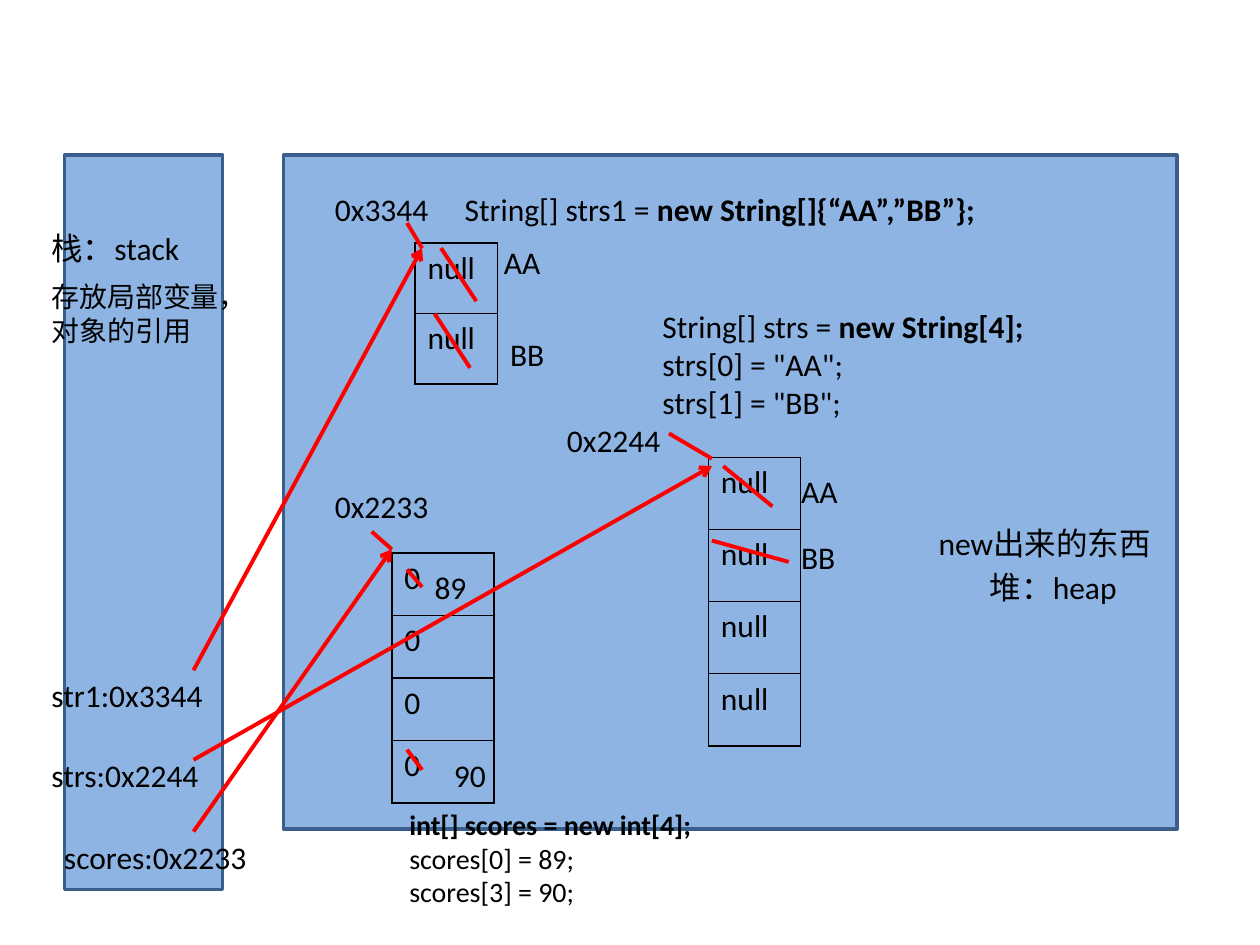
from typing import NamedTuple

from lxml.etree import SubElement
from pptx import Presentation
from pptx.dml.color import RGBColor
from pptx.enum.shapes import MSO_CONNECTOR as Connector, MSO_SHAPE as Preset
from pptx.enum.text import MSO_AUTO_SIZE as AutoSize
from pptx.oxml.ns import qn
from pptx.util import Pt

BLACK = RGBColor(0x00, 0x00, 0x00)
RED = RGBColor(0xFF, 0x00, 0x00)
MEMORY_FILL = RGBColor(0x8E, 0xB4, 0xE3)
MEMORY_EDGE = RGBColor(0x3A, 0x5F, 0x8C)
FONT = "Calibri"
TEXT_SIZE, SMALL_SIZE = 18, 16


class Region(NamedTuple):
    left: float
    top: float
    width: float
    height: float


class Code(NamedTuple):
    """One line of text: a plain part followed by a bold part."""
    plain: str
    bold: str = ""


class Label(NamedTuple):
    left: float
    top: float
    width: float
    lines: list[Code]
    size: int = TEXT_SIZE
    height: float = 29


class ArrayBox(NamedTuple):
    left: float
    top: float
    width: float
    row_height: float
    values: list[str]


class Stroke(NamedTuple):
    x1: float
    y1: float
    x2: float
    y2: float
    arrow: bool = False


STACK = Region(36.8, 88.6, 90.4, 419.6)
HEAP = Region(162, 88.6, 510.5, 385.2)

ARRAYS = [
    ArrayBox(223.9, 315.9, 58.5, 35.8, ["0"] * 4),
    ArrayBox(404.8, 261.4, 52.8, 41.2, ["null"] * 4),
    ArrayBox(237.1, 138.8, 47.3, 40.3, ["null"] * 2),
]

LABELS = [
    Label(22.3, 127.6, 119, [Code("栈：stack")]),
    Label(558.5, 321.1, 113.4, [Code("堆：heap")]),
    Label(22.3, 156.2, 133.2, [Code("存放局部变量，对象的引用")], SMALL_SIZE, 46),
    Label(529.3, 295.9, 153.1, [Code("new出来的东西")]),
    Label(226.8, 457.9, 180, [Code("", "int[] scores = new int[4];"),
                              Code("scores[0] = 89;"),
                              Code("scores[3] = 90;")], SMALL_SIZE, 67.8),
    Label(29.5, 475.2, 119, [Code("scores:0x2233")]),
    Label(22.3, 428.4, 105, [Code("strs:0x2244")]),
    Label(22.3, 383, 105, [Code("str1:0x3344")]),
    Label(184.3, 275, 96.5, [Code("0x2233")]),
    Label(316.9, 237, 96.5, [Code("0x2244")]),
    Label(184.3, 105, 74, [Code("0x3344")]),
    Label(241.2, 321.1, 39.6, [Code("89")]),
    Label(252.3, 428.4, 39.6, [Code("90")]),
    Label(450.7, 266.4, 56.9, [Code("AA")]),
    Label(450.7, 303.8, 39.6, [Code("BB")]),
    Label(280.8, 135.4, 56.9, [Code("AA")]),
    Label(284.4, 188, 39.6, [Code("BB")]),
    Label(371.5, 172.1, 237.6, [Code("String[] strs = ", "new String[4];"),
                                Code('strs[0] = "AA";'),
                                Code('strs[1] = "BB";')], TEXT_SIZE, 72.7),
    Label(258.5, 105, 350.6, [Code("String[] strs1 = ", "new String[]{“AA”,”BB”};")]),
]

REFERENCES = [
    Stroke(110.6, 475.2, 223.9, 313.9, arrow=True),
    Stroke(110.6, 434.2, 406.8, 266.4, arrow=True),
    Stroke(110.6, 383, 241.2, 141.8, arrow=True),
]
ADDRESS_MARKS = [
    Stroke(212.4, 303.8, 223.9, 313.9),
    Stroke(382.3, 247.7, 406.8, 262.1),
    Stroke(232.6, 127.4, 241.2, 141.8),
]
CROSSED_OUT = [
    Stroke(232.6, 325.4, 241.2, 335.5),
    Stroke(232.6, 428.4, 241.2, 439.9),
    Stroke(413.3, 266.4, 441.4, 289.4),
    Stroke(406.8, 308.9, 450.7, 321.1),
    Stroke(252, 141.8, 272.2, 172.1),
    Stroke(248.4, 179.3, 268.6, 210.2),
]


def add_text(paragraph, text: str, size: int, bold: bool = False) -> None:
    run = paragraph.add_run()
    run.text = text
    text_format = {"name": FONT, "size": Pt(size), "bold": bold}
    for attribute, value in text_format.items():
        setattr(run.font, attribute, value)
    run.font.color.rgb = BLACK


def draw_region(shapes, region: Region) -> None:
    block = shapes.add_shape(Preset.RECTANGLE, *map(Pt, region))
    block.shadow.inherit = False
    block.fill.solid()
    block.fill.fore_color.rgb = MEMORY_FILL
    block.line.color.rgb = MEMORY_EDGE
    block.line.width = Pt(2)


def draw_label(shapes, label: Label) -> None:
    box = shapes.add_textbox(Pt(label.left), Pt(label.top), Pt(label.width), Pt(label.height))
    frame = box.text_frame
    frame.word_wrap = True
    frame.auto_size = AutoSize.SHAPE_TO_FIT_TEXT
    for index, line in enumerate(label.lines):
        paragraph = frame.add_paragraph() if index else frame.paragraphs[0]
        if line.plain:
            add_text(paragraph, line.plain, label.size)
        if line.bold:
            add_text(paragraph, line.bold, label.size, bold=True)


def outline_cell(cell) -> None:
    cell.fill.background()
    properties = cell._tc.get_or_add_tcPr()
    for index, side in enumerate(("lnL", "lnR", "lnT", "lnB")):
        border = SubElement(properties, qn(f"a:{side}"), w=str(Pt(1)))
        fill = SubElement(border, qn("a:solidFill"))
        SubElement(fill, qn("a:srgbClr"), val=str(BLACK))
        properties.insert(index, border)  # borders come before the fill


def draw_array(shapes, array: ArrayBox) -> None:
    count = len(array.values)
    table = shapes.add_table(count, 1, Pt(array.left), Pt(array.top), Pt(array.width),
                             Pt(array.row_height * count)).table
    table.first_row = table.horz_banding = False
    for row, value in zip(table.rows, array.values):
        row.height = Pt(array.row_height)
        cell = row.cells[0]
        outline_cell(cell)
        add_text(cell.text_frame.paragraphs[0], value, TEXT_SIZE)


def draw_stroke(shapes, stroke: Stroke) -> None:
    ends = map(Pt, (stroke.x1, stroke.y1, stroke.x2, stroke.y2))
    connector = shapes.add_connector(Connector.STRAIGHT, *ends)
    connector.line.color.rgb = RED
    connector.line.width = Pt(2.25)
    properties = connector._element.spPr
    if stroke.arrow:
        SubElement(properties.find(qn("a:ln")), qn("a:tailEnd"), type="arrow")
    SubElement(properties, qn("a:effectLst"))


def main() -> None:
    presentation = Presentation()
    presentation.slide_width, presentation.slide_height = Pt(720), Pt(540)
    shapes = presentation.slides.add_slide(presentation.slide_layouts[6]).shapes
    for region in (STACK, HEAP):
        draw_region(shapes, region)
    for array in ARRAYS:
        draw_array(shapes, array)
    for label in LABELS:
        draw_label(shapes, label)
    for stroke in REFERENCES + ADDRESS_MARKS + CROSSED_OUT:
        draw_stroke(shapes, stroke)
    presentation.save("out.pptx")


if __name__ == "__main__":
    main()
